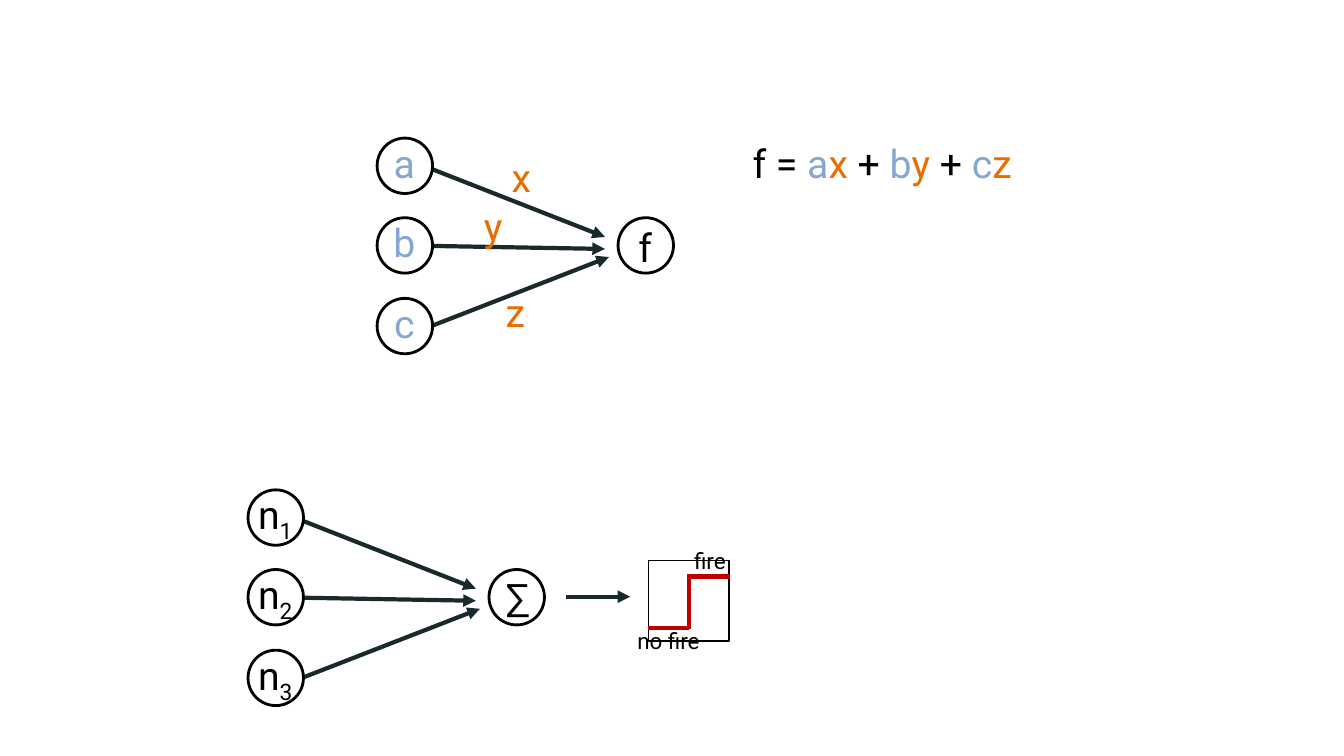
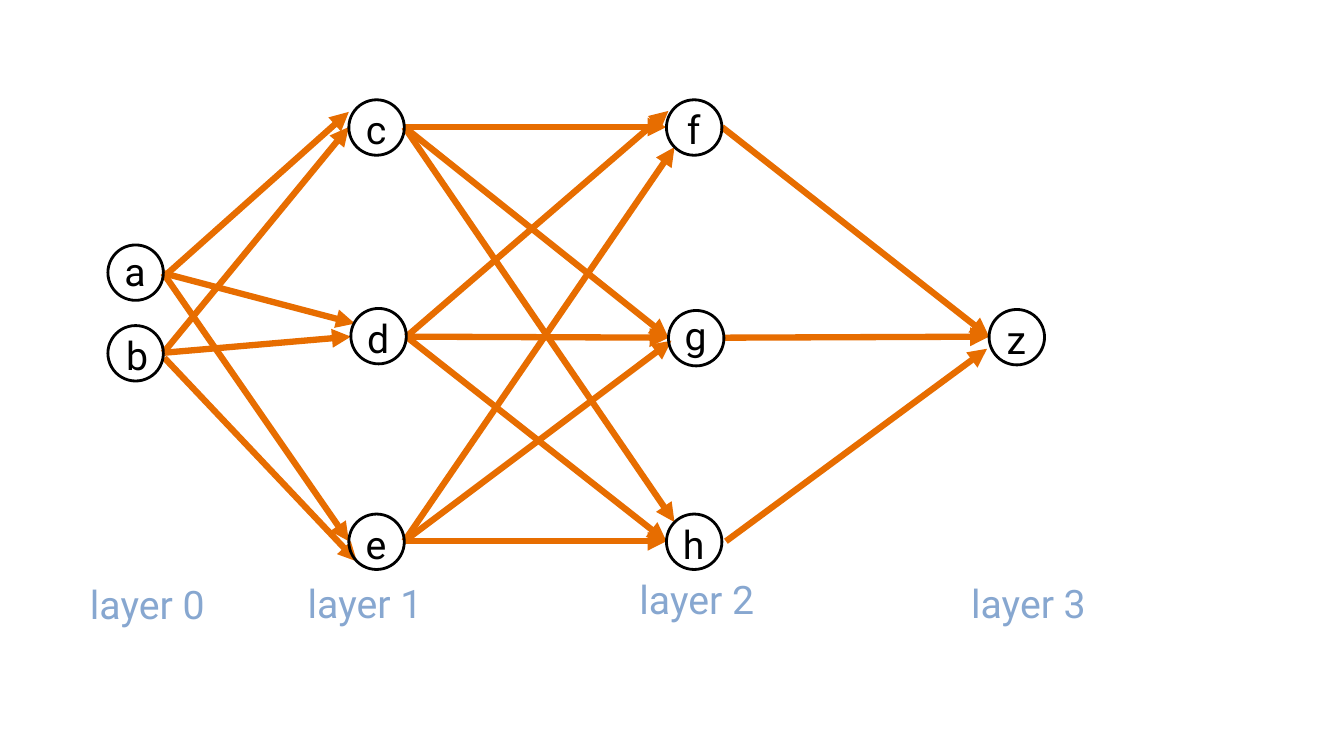
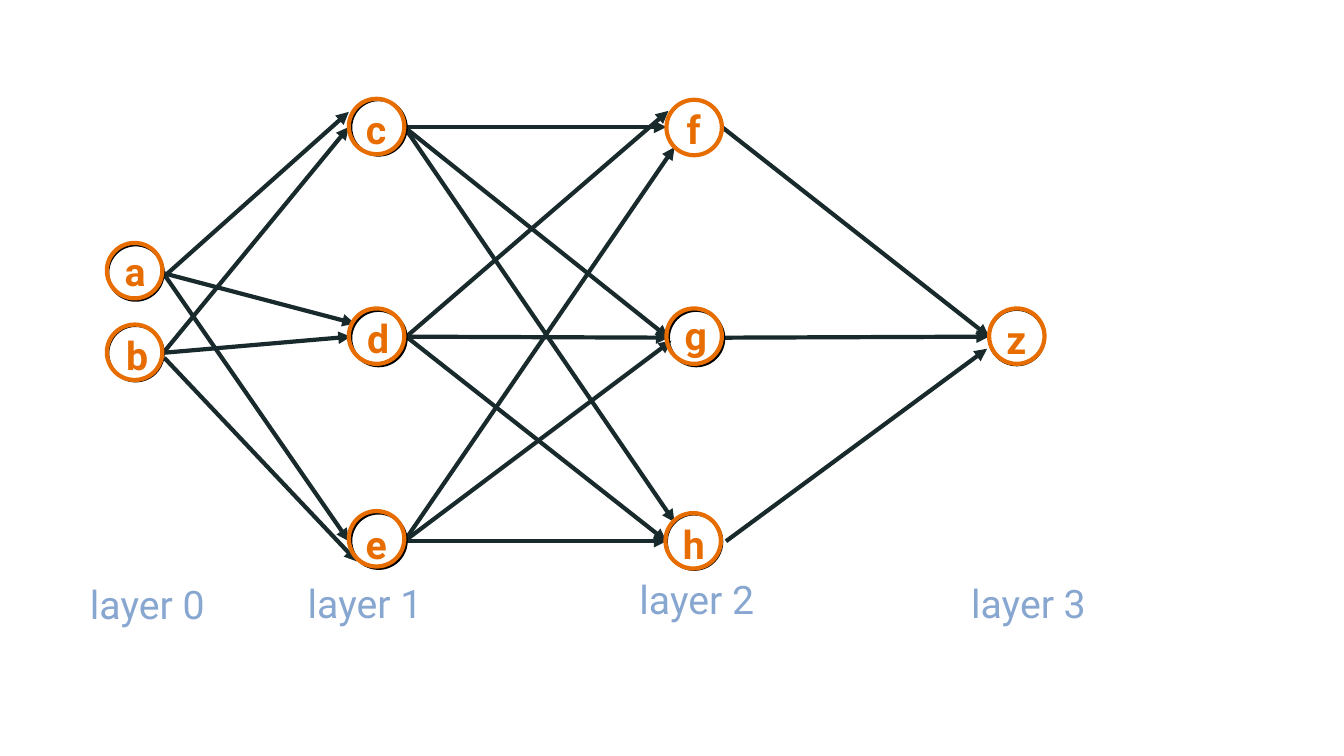
import pptx
import pptx.util
import pptx.dml.color
import pptx.enum.shapes
import pptx.enum.text
import pptx.oxml.ns
import lxml.etree

PX = 9144
SLIDE_WIDTH, SLIDE_HEIGHT = 1333, 750
FONT = "Roboto"
COLORS = {
    "ink": "000000",
    "arrow": "192A2C",
    "input": "87A7D0",
    "weight": "E76D00",
    "step": "C00000",
}
SHAPES = pptx.enum.shapes.MSO_SHAPE
NODE = 55
LABEL_WIDTH, LABEL_HEIGHT = 82, 57
LAYER_WIDTH = 192

PERCEPTRONS = [
    {
        "origin": (374, 137),
        "inputs": [[("a", "input")], [("b", "input")], [("c", "input")]],
        "output": "f",
        "output_label": (-14, 1),
    },
    {
        "origin": (246, 486),
        "inputs": [[("n", "ink"), (digit, "ink", True)] for digit in "123"],
        "output": "∑",
        "output_label": (-13, -1),
    },
]
INPUT_TOPS = [0, 79, 159]
OUTPUT_OFFSET = (239, 79)
PERCEPTRON_ARROWS = [((55, 31), (226, 98)), ((55, 107), (226, 110)), ((55, 186), (230, 118))]
WEIGHTS = [("x", 476, 147), ("y", 448, 196), ("z", 470, 281)]
FORMULA = [
    ("f = ", "ink"), ("a", "input"), ("x", "weight"),
    (" + ", "ink"), ("b", "input"), ("y", "weight"),
    (" + ", "ink"), ("c", "input"), ("z", "weight"),
]
STEP_LINES = [((643, 623), (683, 623)), ((684, 572), (724, 572)), ((683, 569), (683, 624))]
STEP_LABELS = [("fire", 663, 538, 37), ("no fire", 622, 617, 64)]

NETWORK_NODES = {
    "a": {"at": (107, 243), "label": (-14, -3), "base": (0, 0), "active": (-1, -2)},
    "b": {"at": (107, 323), "label": (-12, 1), "base": (0, 0), "active": (-1, -1)},
    "c": {"at": (346, 99), "label": (-14, 1), "base": (2, 0), "active": (0, -1)},
    "d": {"at": (348, 306), "label": (-14, 1), "base": (0, 2), "active": (-2, 0)},
    "e": {"at": (346, 510), "label": (-14, 1), "base": (2, -1), "active": (0, -3)},
    "f": {"at": (661, 99), "label": (-14, 1), "base": None, "active": (0, 0)},
    "g": {"at": (663, 308), "label": (-14, -4), "base": (0, 0), "active": (-2, -2)},
    "h": {"at": (661, 510), "label": (-14, 1), "base": (0, 0), "active": (-1, -1)},
    "z": {"at": (981, 307), "label": (-14, 1), "base": (0, 0), "active": (0, -1)},
}
NETWORK_EDGES = [
    ((162, 275), [(346, 111)]),
    ((162, 271), [(352, 321), (346, 537)]),
    ((162, 350), [(346, 126), (348, 334)]),
    ((163, 355), [(354, 557)]),
    ((401, 126), [(661, 126), (663, 335), (669, 518)]),
    ((403, 334), [(663, 110), (663, 335), (661, 537)]),
    ((401, 537), [(669, 146), (666, 338), (661, 537)]),
    ((716, 126), [(981, 334)]),
    ((718, 335), [(981, 334)]),
    ((720, 537), [(979, 346)]),
]
LAYERS = [("layer 0", 50, 571), ("layer 1", 266, 570), ("layer 2", 595, 566), ("layer 3", 924, 570)]
NETWORKS = [
    {"edge_color": "weight", "edge_width": 4.5, "active": False},
    {"edge_color": "arrow", "edge_width": 3, "active": True},
]


def emu(*lengths):
    return [pptx.util.Emu(length * PX) for length in lengths]


def rgb(name):
    return pptx.dml.color.RGBColor.from_string(COLORS[name])


def shift(point, offset):
    return point[0] + offset[0], point[1] + offset[1]


def add_text(slide, runs, at, width=LABEL_WIDTH, height=LABEL_HEIGHT, size=28, color="ink", bold=False):
    frame = slide.shapes.add_textbox(*emu(*at, width, height)).text_frame
    frame.word_wrap = True
    frame.auto_size = pptx.enum.text.MSO_AUTO_SIZE.SHAPE_TO_FIT_TEXT
    paragraph = frame.paragraphs[0]
    paragraph.alignment = pptx.enum.text.PP_ALIGN.CENTER
    for words, run_color, *subscript in [(runs, color)] if isinstance(runs, str) else runs:
        run = paragraph.add_run()
        run.text = words
        run.font.name = FONT
        run.font.size = pptx.util.Pt(size)
        run.font.bold = bold
        run.font.color.rgb = rgb(run_color)
        if subscript:
            run._r.get_or_add_rPr().set("baseline", "-25000")


def add_outline(slide, kind, at, side, color="ink", width=2):
    outline = slide.shapes.add_shape(kind, *emu(*at, side, side))
    outline.shadow.inherit = False
    outline.fill.background()
    outline.line.color.rgb = rgb(color)
    outline.line.width = pptx.util.Pt(width)


def add_line(slide, start, end, color="arrow", width=3, arrow=True):
    line = slide.shapes.add_connector(
        pptx.enum.shapes.MSO_CONNECTOR.STRAIGHT, *emu(*start, *end))
    line.line.color.rgb = rgb(color)
    line.line.width = pptx.util.Pt(width)
    if arrow:
        lxml.etree.SubElement(
            line.line._get_or_add_ln(), pptx.oxml.ns.qn("a:tailEnd"), type="triangle")
    lxml.etree.SubElement(line._element.spPr, pptx.oxml.ns.qn("a:effectLst"))


def draw_perceptron(slide, perceptron):
    origin = perceptron["origin"]
    for start, end in PERCEPTRON_ARROWS:
        add_line(slide, shift(origin, start), shift(origin, end))
    for runs, top in zip(perceptron["inputs"], INPUT_TOPS):
        node = shift(origin, (0, top))
        add_text(slide, runs, shift(node, (-14, -4)))
        add_outline(slide, SHAPES.OVAL, node, NODE)
    output = shift(origin, OUTPUT_OFFSET)
    add_text(slide, perceptron["output"], shift(output, perceptron["output_label"]))
    add_outline(slide, SHAPES.OVAL, output, NODE)


def draw_step_function(slide):
    add_line(slide, (561, 592), (625, 592))
    add_outline(slide, SHAPES.RECTANGLE, (643, 556), 80, width=1)
    for start, end in STEP_LINES:
        add_line(slide, start, end, color="step", arrow=False)
    for words, left, top, height in STEP_LABELS:
        add_text(slide, words, (left, top), height=height, size=16)


def draw_network(slide, edge_color, edge_width, active):
    for start, ends in NETWORK_EDGES:
        for end in ends:
            add_line(slide, start, end, color=edge_color, width=edge_width)
    for name, node in NETWORK_NODES.items():
        at = node["at"]
        add_text(slide, name, shift(at, node["label"]),
                 color="weight" if active else "ink", bold=active)
        base = node["base"] if active else (0, 0)
        if base:
            add_outline(slide, SHAPES.OVAL, shift(at, base), NODE)
        if active:
            add_outline(slide, SHAPES.OVAL, shift(at, node["active"]), NODE, color="weight", width=3)
    for words, left, top in LAYERS:
        add_text(slide, words, (left, top), width=LAYER_WIDTH, color="input")


def main():
    deck = pptx.Presentation()
    deck.slide_width, deck.slide_height = emu(SLIDE_WIDTH, SLIDE_HEIGHT)
    blank = deck.slide_layouts[6]

    slide = deck.slides.add_slide(blank)
    for perceptron in PERCEPTRONS:
        draw_perceptron(slide, perceptron)
    for words, left, top in WEIGHTS:
        add_text(slide, words, (left, top), color="weight")
    add_text(slide, FORMULA, (717, 133), width=316)
    draw_step_function(slide)

    for network in NETWORKS:
        draw_network(deck.slides.add_slide(blank), **network)

    deck.save("out.pptx")


if __name__ == "__main__":
    main()
